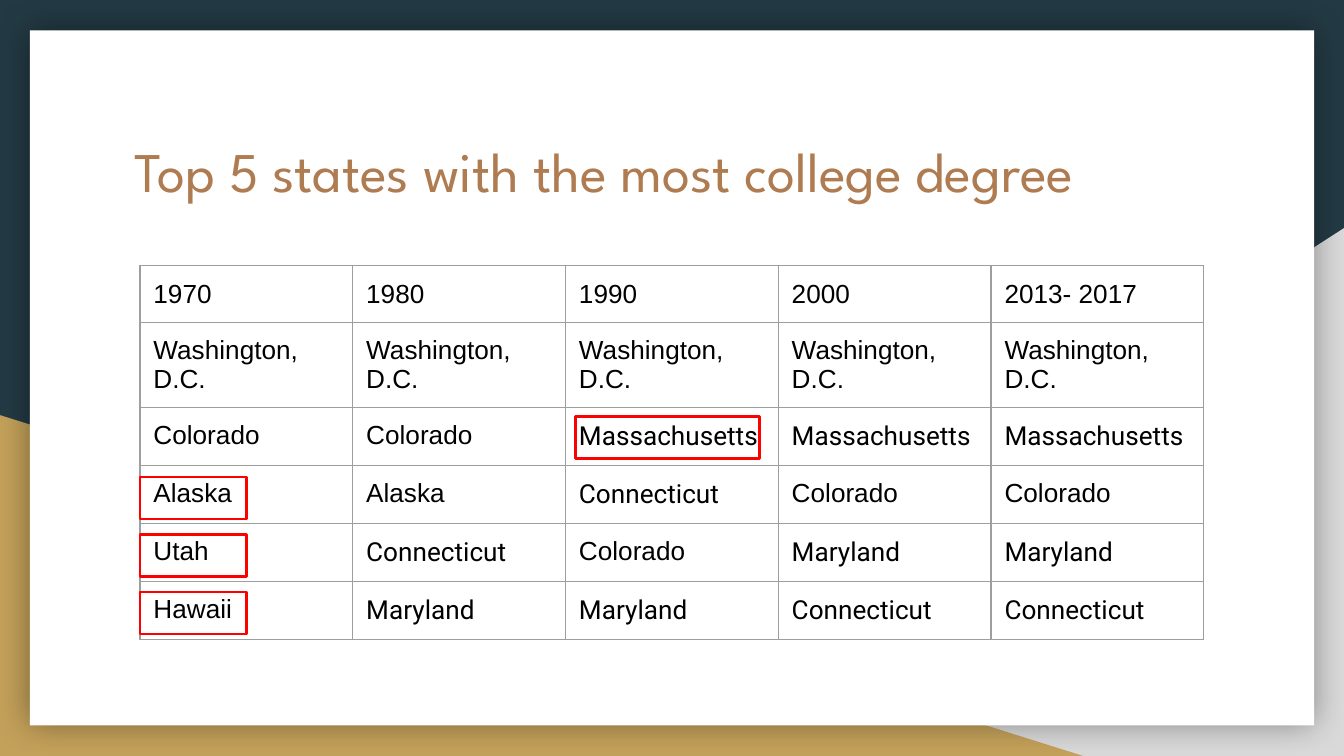
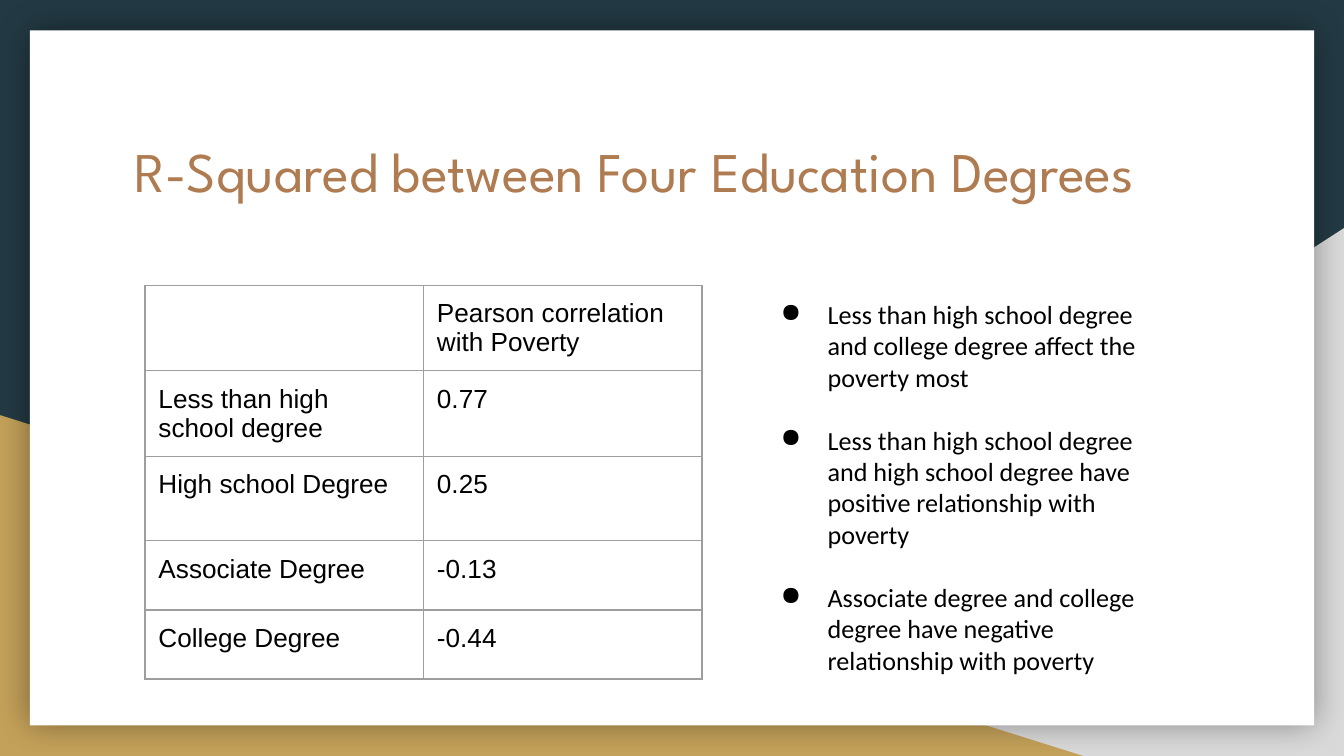
"""Build two slides on college degrees by state and their link with poverty."""
from dataclasses import dataclass

from lxml.etree import SubElement
from pptx import Presentation
from pptx.dml.color import RGBColor as Rgb
from pptx.enum.shapes import MSO_SHAPE as Preset
from pptx.enum.text import MSO_ANCHOR as Anchor, MSO_AUTO_SIZE as AutoSize, PP_ALIGN as Align
from pptx.oxml.ns import qn
from pptx.shapes.autoshape import Shape
from pptx.util import Pt


@dataclass(frozen=True)
class Theme:
    navy: str = "233A44"
    gray: str = "D9D9D9"
    gold: str = "C4A15A"
    paper: str = "FFFFFF"
    bronze: str = "AF7B51"
    ink: str = "000000"
    grid: str = "9E9E9E"
    mark: str = "FF0000"
    title_font: str = "League Spartan"
    table_font: str = "Arial"
    state_font: str = "Roboto"
    body_font: str = "Calibri"
    title_size: int = 30
    text_size: int = 14
    inset: float = 7.2


class Deck:
    def __init__(self, theme):
        self.theme = theme
        self.prs = Presentation()
        self.prs.slide_width, self.prs.slide_height = Pt(720), Pt(405)
        self.layout = self.prs.slide_layouts[5]
        self.slide = None
        self.backdrop()

    def backdrop(self):
        theme = self.theme
        fill = self.layout.background.fill
        fill.solid()
        fill.fore_color.rgb = Rgb.from_string(theme.navy)
        gray_corner = self.panel(0, Preset.RIGHT_TRIANGLE, (282.2, 122.2, 437.8, 282.8), theme.gray)
        gray_corner._element.spPr.find(qn("a:xfrm")).set("flipH", "1")
        self.panel(1, Preset.RIGHT_TRIANGLE, (0, 222.4, 580.3, 182.6), theme.gold)
        sheet = self.panel(2, Preset.RECTANGLE, (16, 16.2, 688, 372.4), theme.paper)
        effects = sheet._element.spPr.find(qn("a:effectLst"))
        shadow = SubElement(effects, qn("a:outerShdw"), blurRad=str(Pt(18)), dist="0", dir="0",
                            algn="ctr", rotWithShape="0")
        color = SubElement(shadow, qn("a:srgbClr"), val=theme.ink)
        SubElement(color, qn("a:alpha"), val="40000")

    def panel(self, order, preset, box, color):
        tree = self.layout.shapes._spTree
        prst = "rtTriangle" if preset == Preset.RIGHT_TRIANGLE else "rect"
        element = tree.add_autoshape(10 + order, f"Panel {order + 1}", prst, *map(Pt, box))
        tree.insert(2 + order, element)
        panel = Shape(element, self.layout.shapes)
        panel.fill.solid()
        panel.fill.fore_color.rgb = Rgb.from_string(color)
        panel.line.fill.background()
        panel.shadow.inherit = False
        return panel

    def add_slide(self, heading):
        self.slide = self.prs.slides.add_slide(self.layout)
        title = self.slide.shapes.title
        title.left, title.top, title.width, title.height = map(Pt, (64.8, 66.2, 591, 74.9))
        frame = title.text_frame
        frame.text = heading
        self.set_frame(frame)
        frame.paragraphs[0].alignment = Align.LEFT
        self.style(frame, self.theme.title_font, self.theme.title_size, self.theme.bronze)

    def set_frame(self, frame):
        frame.word_wrap = True
        frame.auto_size = AutoSize.NONE
        frame.vertical_anchor = Anchor.TOP
        frame.margin_left = frame.margin_right = Pt(self.theme.inset)
        frame.margin_top = frame.margin_bottom = Pt(self.theme.inset)

    def style(self, frame, font, size, color):
        for paragraph in frame.paragraphs:
            for run in paragraph.runs:
                run.font.name = font
                run.font.size = Pt(size)
                run.font.color.rgb = Rgb.from_string(color)

    def table(self, left, top, col_width, row_heights, rows, state_names=()):
        theme = self.theme
        columns = len(rows[0])
        table = self.slide.shapes.add_table(len(rows), columns, Pt(left), Pt(top),
                                            Pt(col_width * columns), Pt(sum(row_heights))).table
        table.first_row = table.horz_banding = False
        for column in table.columns:
            column.width = Pt(col_width)
        for row, height, entries in zip(table.rows, row_heights, rows):
            row.height = Pt(height)
            for cell, entry in zip(row.cells, entries):
                cell.text_frame.text = entry
                font = theme.state_font if entry in state_names else theme.table_font
                self.style(cell.text_frame, font, theme.text_size, theme.ink)
                cell.margin_left = cell.margin_right = Pt(theme.inset)
                cell.margin_top = cell.margin_bottom = Pt(theme.inset)
                self.borders(cell)
                cell.fill.background()

    def borders(self, cell):
        properties = cell._tc.get_or_add_tcPr()
        for side in ("lnL", "lnR", "lnT", "lnB"):
            line = SubElement(properties, qn(f"a:{side}"), w=str(Pt(0.75)))
            fill = SubElement(line, qn("a:solidFill"))
            SubElement(fill, qn("a:srgbClr"), val=self.theme.grid)

    def highlight(self, *box):
        frame = self.slide.shapes.add_shape(Preset.RECTANGLE, *map(Pt, box))
        frame.fill.background()
        frame.line.color.rgb = Rgb.from_string(self.theme.mark)
        frame.line.width = Pt(1.5)
        frame.shadow.inherit = False

    def bullets(self, box, points):
        theme = self.theme
        frame = self.slide.shapes.add_textbox(*map(Pt, box)).text_frame
        frame.text = "\n".join(points)
        self.set_frame(frame)
        self.style(frame, theme.body_font, theme.text_size, theme.ink)
        for index, paragraph in enumerate(frame.paragraphs):
            paragraph.space_before = Pt(17 if index else 0)
            properties = paragraph._p.get_or_add_pPr()
            properties.set("marL", str(Pt(36)))
            properties.set("indent", str(Pt(-25.2)))
            color = SubElement(properties, qn("a:buClr"))
            SubElement(color, qn("a:srgbClr"), val=theme.ink)
            SubElement(properties, qn("a:buChar"), char="●")


def main():
    deck = Deck(Theme())

    deck.add_slide("Top 5 states with the most college degree")
    rankings = [
        ("1970", "1980", "1990", "2000", "2013- 2017"),
        ("Washington, D.C.",) * 5,
        ("Colorado", "Colorado", "Massachusetts", "Massachusetts", "Massachusetts"),
        ("Alaska", "Alaska", "Connecticut", "Colorado", "Colorado"),
        ("Utah", "Connecticut", "Colorado", "Maryland", "Maryland"),
        ("Hawaii", "Maryland", "Maryland", "Connecticut", "Connecticut"),
    ]
    deck.table(75, 142.4, 114, [30] * 6, rankings,
               {"Massachusetts", "Connecticut", "Maryland"})
    for step in range(3):
        deck.highlight(75, 255.6 + 30.8 * step, 57, 22.5)
    deck.highlight(308.2, 223, 98.6, 22.5)

    deck.add_slide("R-Squared between Four Education Degrees")
    correlations = [
        ("", "Pearson correlation with Poverty"),
        ("Less than high school degree", "0.77"),
        ("High school Degree", "0.25"),
        ("Associate Degree", "-0.13"),
        ("College Degree", "-0.44"),
    ]
    deck.table(77.7, 152.8, 149.2, [45.2] * 3 + [37] * 2, correlations)
    deck.bullets((400.3, 152.6, 233.3, 216), [
        "Less than high school degree and college degree affect the poverty most",
        "Less than high school degree and high school degree have positive relationship with poverty",
        "Associate degree and college degree have negative relationship with poverty",
    ])

    deck.prs.save("out.pptx")


if __name__ == "__main__":
    main()
